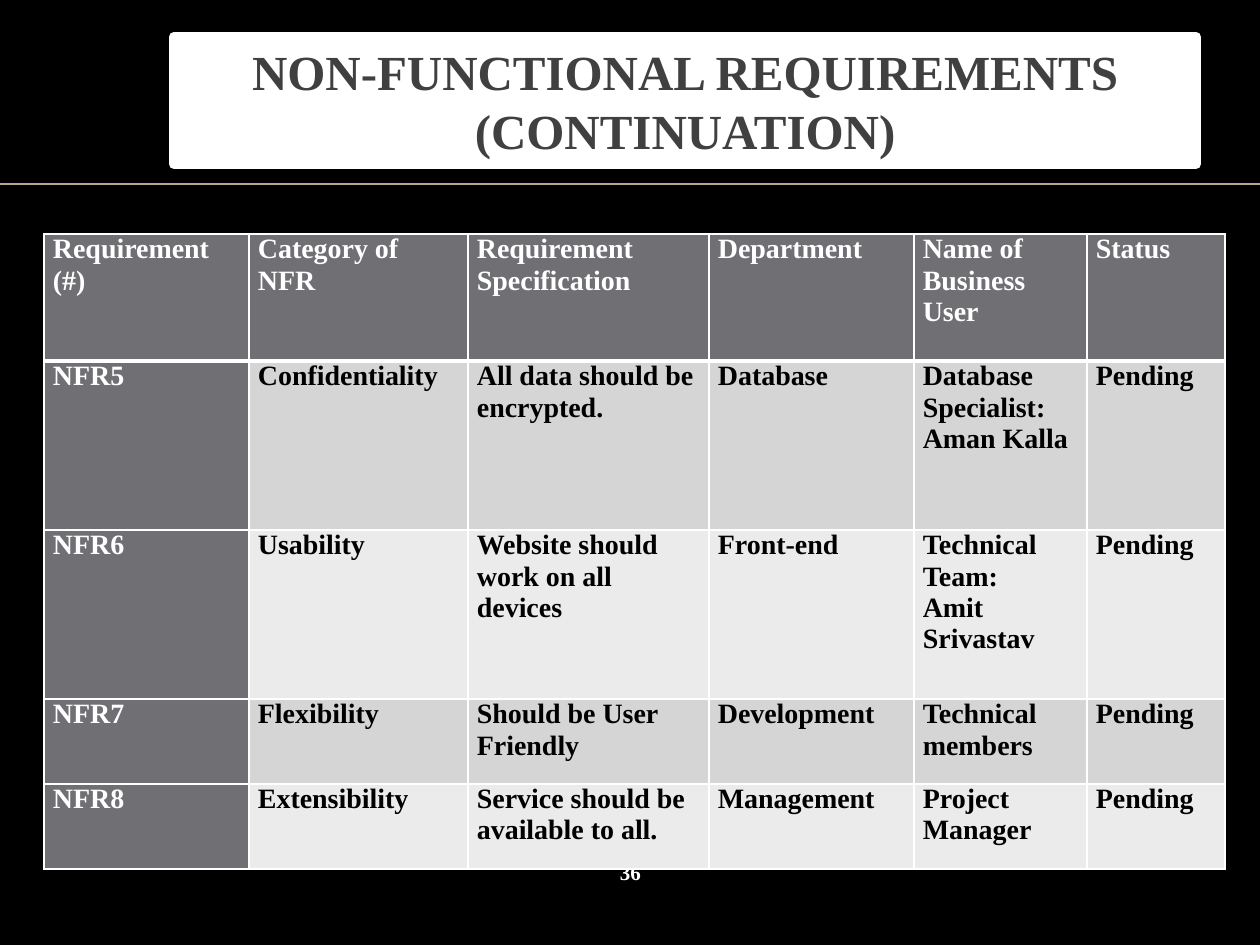
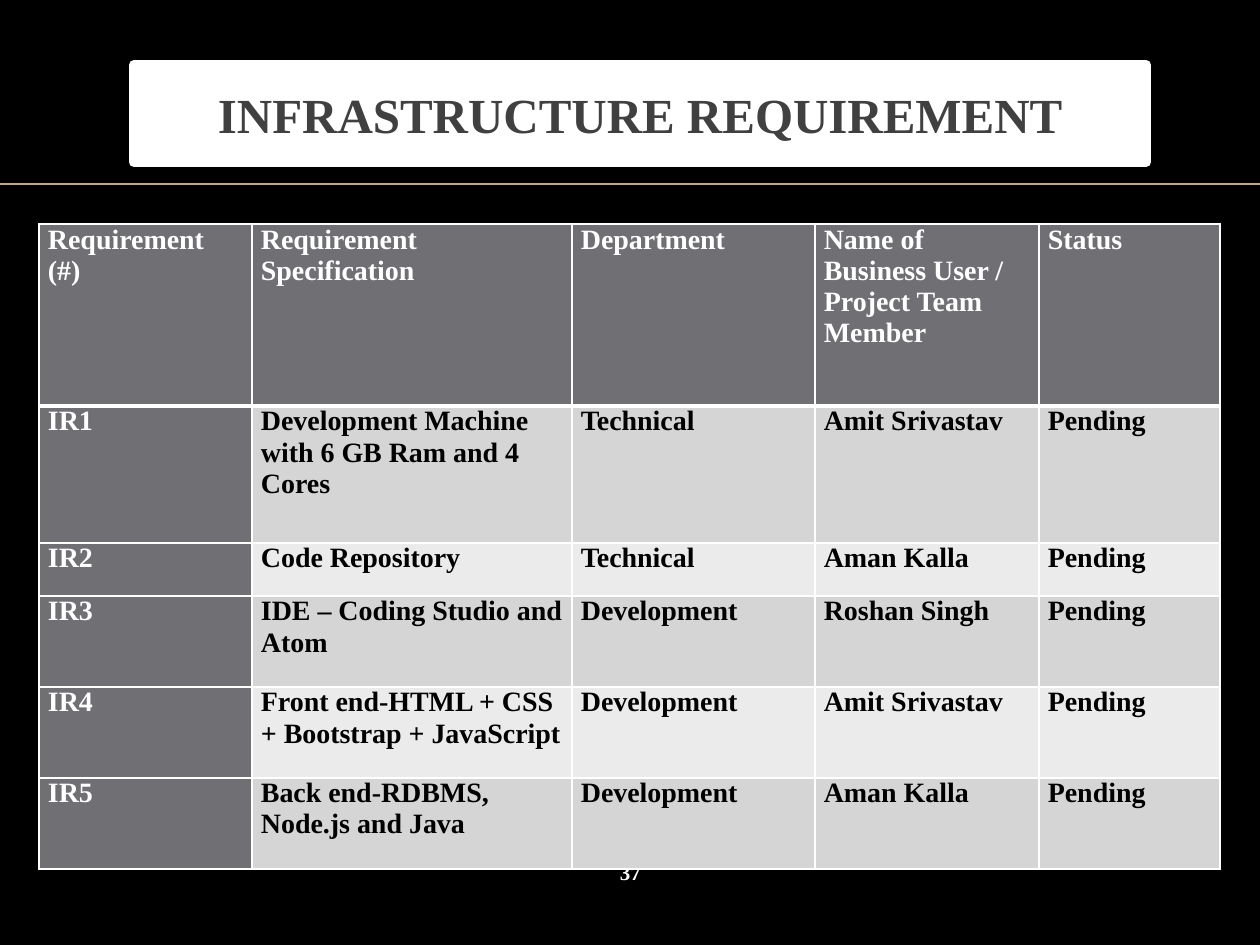
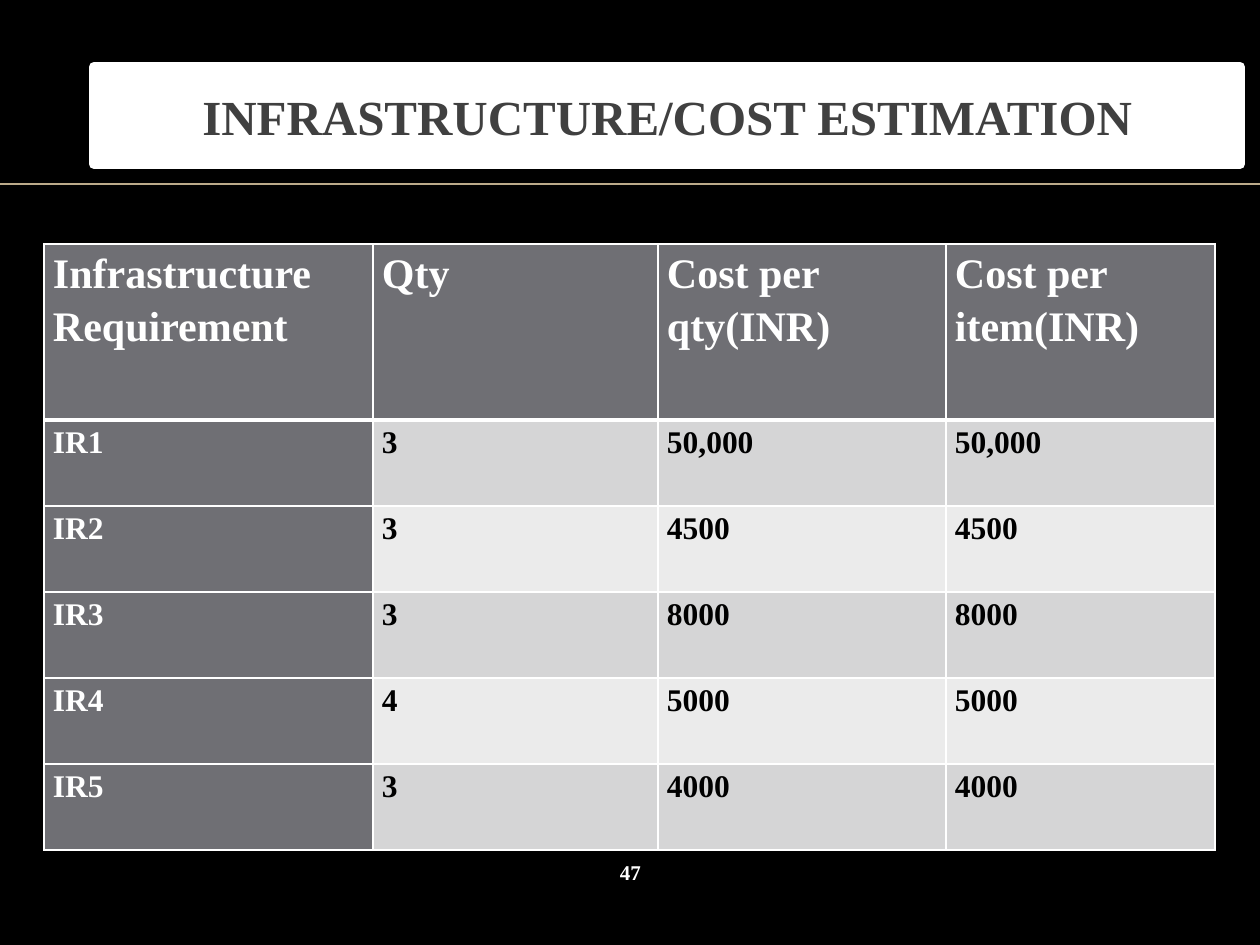
import lxml.etree
import pptx
import pptx.dml.color
import pptx.enum.shapes
import pptx.enum.text
import pptx.oxml.ns
import pptx.util

EMU_PER_PX = 914400 / 126
WIDTH, HEIGHT = 1260, 945
TITLE_ONLY = 5


def px(length):
    return pptx.util.Emu(round(length * EMU_PER_PX))


def color(hex_string):
    return pptx.dml.color.RGBColor.from_string(hex_string)


class Deck:
    font_name = "Times New Roman"
    black, white = "000000", "FFFFFF"
    title_gray, rule_tan = "404040", "BBAA8A"
    header_gray, bands = "6F6F74", ("D5D5D6", "EBEBEB")
    rule_top = 184

    def __init__(self):
        self.presentation = pptx.Presentation()
        self.presentation.slide_width = px(WIDTH)
        self.presentation.slide_height = px(HEIGHT)
        fill = self.presentation.slide_master.background.fill
        fill.solid()
        fill.fore_color.rgb = color(self.black)
        self.slide = None

    def add_slide(self, title, title_box, number):
        layout = self.presentation.slide_layouts[TITLE_ONLY]
        self.slide = self.presentation.slides.add_slide(layout)
        self.add_rule()
        self.add_title(title, title_box)
        self.add_number(number)

    def format_text(self, text_frame, size, text_color, alignment=None):
        for paragraph in text_frame.paragraphs:
            paragraph.alignment = alignment
            for run in paragraph.runs:
                run.font.name = self.font_name
                run.font.size = pptx.util.Pt(size)
                run.font.bold = True
                run.font.color.rgb = color(text_color)

    def add_rule(self):
        rule = self.slide.shapes.add_connector(
            pptx.enum.shapes.MSO_CONNECTOR.STRAIGHT,
            px(0), px(self.rule_top), px(WIDTH), px(self.rule_top))
        rule.line.color.rgb = color(self.rule_tan)
        rule.line.width = pptx.util.Pt(1)
        lxml.etree.SubElement(rule._element.spPr, pptx.oxml.ns.qn("a:effectLst"))

    def add_title(self, text, box):
        shape = self.slide.shapes.title
        shape.left, shape.top, shape.width, shape.height = map(px, box)
        shape.fill.solid()
        shape.fill.fore_color.rgb = color(self.white)
        shape.line.color.rgb = color(self.white)
        shape.line.width = pptx.util.Pt(6)
        text_frame = shape.text_frame
        text_frame.text = text
        text_frame.word_wrap = True
        text_frame.auto_size = pptx.enum.text.MSO_AUTO_SIZE.NONE
        text_frame.vertical_anchor = pptx.enum.text.MSO_ANCHOR.MIDDLE
        self.format_text(text_frame, 28, self.title_gray, pptx.enum.text.PP_ALIGN.CENTER)

    def add_number(self, number):
        shape = self.slide.shapes.add_textbox(px(557), px(851), px(147), px(42))
        text_frame = shape.text_frame
        text_frame.text = str(number)
        text_frame.word_wrap = True
        text_frame.vertical_anchor = pptx.enum.text.MSO_ANCHOR.MIDDLE
        text_frame.margin_left = text_frame.margin_right = 0
        text_frame.margin_top = text_frame.margin_bottom = 0
        self.format_text(text_frame, 12, self.white, pptx.enum.text.PP_ALIGN.CENTER)

    def add_border(self, cell, side, points):
        properties = cell._tc.get_or_add_tcPr()
        line = lxml.etree.SubElement(properties, pptx.oxml.ns.qn(f"a:ln{side}"))
        line.set("w", str(pptx.util.Pt(points)))
        fill = lxml.etree.SubElement(line, pptx.oxml.ns.qn("a:solidFill"))
        lxml.etree.SubElement(fill, pptx.oxml.ns.qn("a:srgbClr")).set("val", self.white)

    def add_table(self, left, top, widths, heights, rows,
                  header_size=16, body_size=16, line_spacing=None, space_after=None):
        frame = self.slide.shapes.add_table(
            len(heights), len(widths), px(left), px(top), px(sum(widths)), px(sum(heights)))
        table = frame.table
        table.horz_banding = False
        for column, width in zip(table.columns, widths):
            column.width = px(width)
        for row_index, (height, texts) in enumerate(zip(heights, rows)):
            table.rows[row_index].height = px(height)
            size = body_size if row_index else header_size
            for column_index, text in enumerate(texts):
                cell = table.cell(row_index, column_index)
                self.fill_cell(cell, text, row_index, column_index, size)
                for paragraph in cell.text_frame.paragraphs:
                    paragraph.line_spacing = line_spacing
                    if space_after:
                        paragraph.space_after = pptx.util.Pt(space_after)

    def fill_cell(self, cell, text, row_index, column_index, size):
        is_heading = row_index == 0 or column_index == 0
        cell.margin_left = cell.margin_right = px(9)
        cell.margin_top = cell.margin_bottom = 0
        self.add_border(cell, "L", 1)
        self.add_border(cell, "R", 1)
        self.add_border(cell, "T", 3 if row_index == 1 else 1)
        self.add_border(cell, "B", 3 if row_index == 0 else 1)
        cell.fill.solid()
        cell.fill.fore_color.rgb = color(
            self.header_gray if is_heading else self.bands[(row_index - 1) % 2])
        cell.text_frame.text = text
        self.format_text(cell.text_frame, size, self.white if is_heading else self.black)


def main():
    deck = Deck()

    deck.add_slide("NON-FUNCTIONAL REQUIREMENTS (CONTINUATION)", (174, 37, 1022, 127), 36)
    deck.add_table(44, 234, [205, 219, 241, 205, 173, 138], [127, 169, 169, 85, 85], [
        ["Requirement\n(#)", "Category of\nNFR", "Requirement\nSpecification",
         "Department", "Name of\nBusiness User", "Status"],
        ["NFR5", "Confidentiality", "All data should be encrypted.",
         "Database", "Database\nSpecialist:\nAman Kalla", "Pending"],
        ["NFR6", "Usability", "Website should work on all devices",
         "Front-end", "Technical Team:\nAmit Srivastav", "Pending"],
        ["NFR7", "Flexibility", "Should be User Friendly",
         "Development", "Technical members", "Pending"],
        ["NFR8", "Extensibility", "Service should be available to all.",
         "Management", "Project Manager", "Pending"],
    ])

    deck.add_slide("INFRASTRUCTURE REQUIREMENT", (134, 65, 1012, 97), 37)
    deck.add_table(39, 224, [213, 320, 243, 224, 181], [182, 137, 53, 91, 91, 91], [
        ["Requirement (#)", "Requirement Specification", "Department",
         "Name of Business User / Project Team Member", "Status"],
        ["IR1", "Development Machine with 6 GB Ram and 4 Cores",
         "Technical", "Amit Srivastav", "Pending"],
        ["IR2", "Code Repository", "Technical", "Aman Kalla", "Pending"],
        ["IR3", "IDE – Coding Studio and Atom", "Development", "Roshan Singh", "Pending"],
        ["IR4", "Front end-HTML + CSS + Bootstrap + JavaScript",
         "Development", "Amit Srivastav", "Pending"],
        ["IR5", "Back end-RDBMS, Node.js and Java", "Development", "Aman Kalla", "Pending"],
    ])

    deck.add_slide("INFRASTRUCTURE/COST ESTIMATION", (94, 67, 1146, 97), 47)
    deck.add_table(44, 244, [329, 285, 288, 269], [176] + [86] * 5, [
        ["Infrastructure Requirement", "Qty", "Cost per qty(INR)", "Cost per item(INR)"],
        ["IR1", "3", "50,000", "50,000"],
        ["IR2", "3", "4500", "4500"],
        ["IR3", "3", "8000", "8000"],
        ["IR4", "4", "5000", "5000"],
        ["IR5", "3", "4000", "4000"],
    ], header_size=24, body_size=18, line_spacing=1.15, space_after=10)

    deck.presentation.save("out.pptx")


if __name__ == "__main__":
    main()
